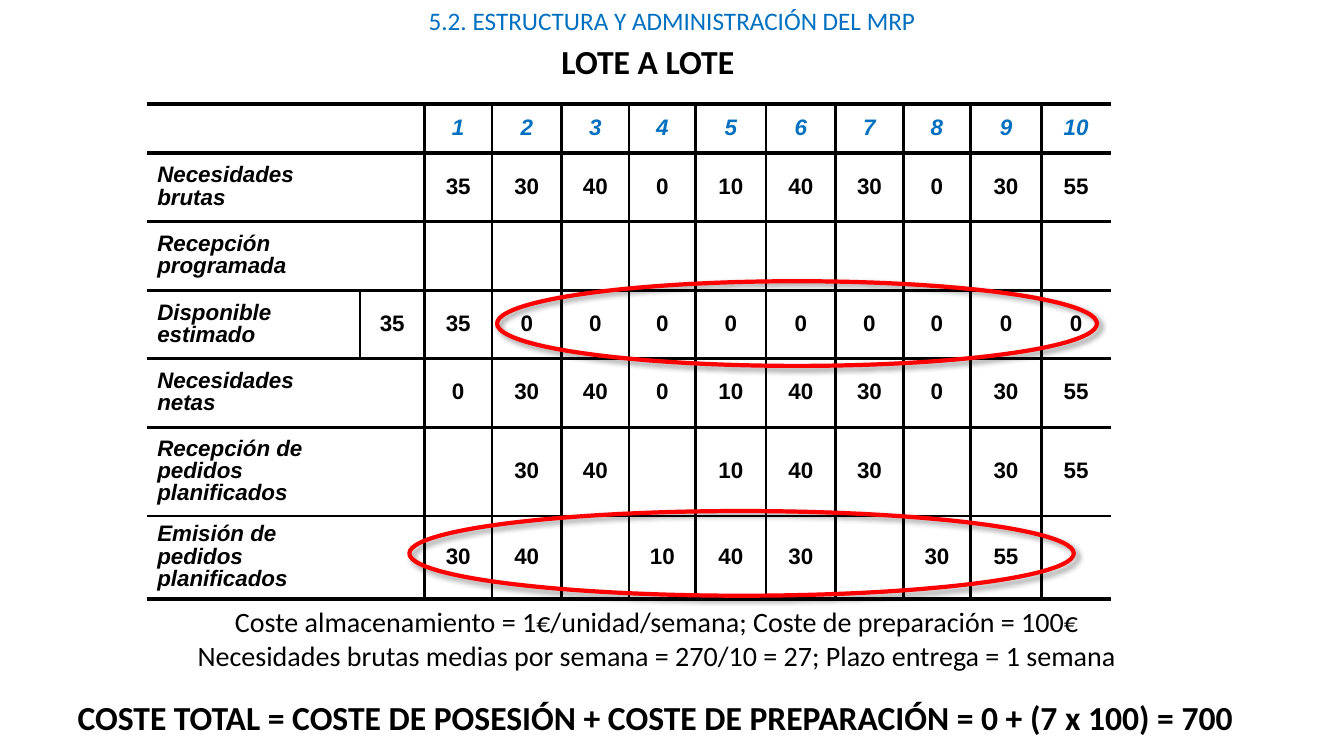
from dataclasses import dataclass

from lxml import etree
from pptx import Presentation, util as u
from pptx.dml.color import RGBColor
from pptx.enum import shapes, text
from pptx.oxml import parse_xml
from pptx.oxml.ns import nsdecls, qn


@dataclass(frozen=True)
class Theme:
    ink: str = "000000"
    accent: str = "0070C0"
    mark: str = "FF0000"
    body_font: str = "Calibri"
    table_font: str = "Arial"
    header_size: int = 18
    title_size: int = 24
    note_size: int = 20
    table_size: int = 16
    thin: float = 2.25
    thick: float = 3


WEEKS = 10
COLUMN_WIDTHS = [2.11, 0.64, 0.67, 0.69, 0.67, 0.66, 0.7, 0.69, 0.67, 0.67, 0.7, 0.69]
ROW_HEIGHTS = [0.49, 0.68, 0.68, 0.68, 0.68, 0.88, 0.82]

# Label, opening stock, weekly values
MRP_ROWS = [
    ("", "", range(1, WEEKS + 1)),
    ("Necesidades brutas", "", [35, 30, 40, 0, 10, 40, 30, 0, 30, 55]),
    ("Recepción programada", "", [""] * WEEKS),
    ("Disponible estimado", 35, [35] + [0] * (WEEKS - 1)),
    ("Necesidades netas", "", [0, 30, 40, 0, 10, 40, 30, 0, 30, 55]),
    ("Recepción de pedidos planificados", "", ["", 30, 40, "", 10, 40, 30, "", 30, 55]),
    ("Emisión de pedidos planificados", "", [30, 40, "", 10, 40, 30, "", 30, 55, ""]),
]


class SlideBuilder:
    def __init__(self, slide, theme):
        self.slide = slide
        self.theme = theme

    def style(self, paragraph, font_name, size, color, bold=False, italic=False):
        font = paragraph.font
        font.name, font.size = font_name, u.Pt(size)
        font.bold, font.italic = bold, italic
        font.color.rgb = RGBColor.from_string(color)

    def text_box(self, left, top, width, height, lines, size, color, bold=False, wrap=True):
        box = self.slide.shapes.add_textbox(*map(u.Inches, (left, top, width, height)))
        frame = box.text_frame
        frame.word_wrap = wrap
        frame.auto_size = text.MSO_AUTO_SIZE.SHAPE_TO_FIT_TEXT
        frame.text = "\n".join(lines)
        for paragraph in frame.paragraphs:
            paragraph.alignment = text.PP_ALIGN.CENTER
            self.style(paragraph, self.theme.body_font, size, color, bold)

    def border(self, cell, side, width):
        properties = cell._tc.get_or_add_tcPr()
        line = etree.SubElement(properties, qn(f"a:ln{side}"))
        if not width:
            etree.SubElement(line, qn("a:noFill"))
            return
        line.set("w", str(u.Pt(width)))
        fill = etree.SubElement(line, qn("a:solidFill"))
        etree.SubElement(fill, qn("a:srgbClr"), val=self.theme.ink)

    def cell_borders(self, cell, row, column, has_stock):
        theme = self.theme
        last_row, last_column = len(ROW_HEIGHTS) - 1, len(COLUMN_WIDTHS) - 1
        divided = has_stock or column > 1
        widths = {
            "L": theme.thin if column and divided else 0,
            "R": theme.thin if column < last_column and (divided or column == 1) else 0,
            "T": theme.thick if row <= 1 else theme.thin,
            "B": theme.thick if row in (0, last_row) else theme.thin,
        }
        for side, width in widths.items():
            self.border(cell, side, width)

    def table(self, left, top, rows):
        theme = self.theme
        frame = self.slide.shapes.add_table(
            len(rows), len(COLUMN_WIDTHS), u.Inches(left), u.Inches(top),
            u.Inches(sum(COLUMN_WIDTHS)), u.Inches(sum(ROW_HEIGHTS)))
        table = frame.table
        table.first_row = table.horz_banding = False
        for column, width in zip(table.columns, COLUMN_WIDTHS):
            column.width = u.Inches(width)
        for row, height in zip(table.rows, ROW_HEIGHTS):
            row.height = u.Inches(height)

        for row, (label, stock, values) in enumerate(rows):
            for column, value in enumerate([label, stock, *values]):
                cell = table.cell(row, column)
                self.cell_borders(cell, row, column, stock != "")
                cell.fill.background()
                cell.vertical_anchor = text.MSO_ANCHOR.MIDDLE
                cell.text = str(value)
                paragraph = cell.text_frame.paragraphs[0]
                paragraph.line_spacing = 0.9
                if column:
                    paragraph.alignment = text.PP_ALIGN.CENTER
                self.style(paragraph, theme.table_font, theme.table_size,
                           theme.ink if row else theme.accent,
                           bold=True, italic=row == 0 or column == 0)

    def highlight(self, left, top, width, height):
        shape = self.slide.shapes.add_shape(
            shapes.MSO_SHAPE.OVAL, *map(u.Inches, (left, top, width, height)))
        shape.fill.background()
        shape.line.color.rgb = RGBColor.from_string(self.theme.mark)
        shape.line.width = u.Pt(self.theme.thick)
        shape.shadow.inherit = False
        # Soft shadow towards the lower right
        effects = shape._element.spPr.find(qn("a:effectLst"))
        effects.append(parse_xml(
            f'<a:outerShdw {nsdecls("a")} blurRad="{u.Pt(4)}" dist="{u.Pt(3)}" '
            f'dir="{45 * 60000}" algn="tl" rotWithShape="0">'
            f'<a:srgbClr val="{self.theme.ink}"><a:alpha val="40000"/></a:srgbClr>'
            '</a:outerShdw>'))


def main():
    presentation = Presentation()
    presentation.slide_width = u.Inches(13.33)
    presentation.slide_height = u.Inches(7.5)
    theme = Theme()
    builder = SlideBuilder(presentation.slides.add_slide(presentation.slide_layouts[6]), theme)

    # Headings
    builder.text_box(0, 0, 13.33, 0.4, ["5.2. ESTRUCTURA Y ADMINISTRACIÓN DEL MRP"],
                     theme.header_size, theme.accent)
    builder.text_box(2.48, 0.36, 7.89, 0.5, ["LOTE A LOTE"],
                     theme.title_size, theme.ink, bold=True)

    # Planning table
    builder.table(1.46, 1.03, MRP_ROWS)

    # Cost assumptions
    builder.text_box(1.84, 5.95, 9.35, 0.77, [
        "Coste almacenamiento = 1€/unidad/semana; Coste de preparación = 100€",
        "Necesidades brutas medias por semana = 270/10 = 27; Plazo entrega = 1 semana",
    ], theme.note_size, theme.ink, wrap=False)

    # Highlighted stock and order releases
    builder.highlight(4.93, 2.79, 5.95, 0.84)
    builder.highlight(4.06, 5.07, 6.59, 0.84)

    # Total cost
    builder.text_box(0.1, 6.86, 12.8, 0.5, [
        "COSTE TOTAL = COSTE DE POSESIÓN + COSTE DE PREPARACIÓN = 0 + (7 x 100) = 700",
    ], theme.title_size, theme.ink, bold=True)

    presentation.save("out.pptx")


if __name__ == "__main__":
    main()
